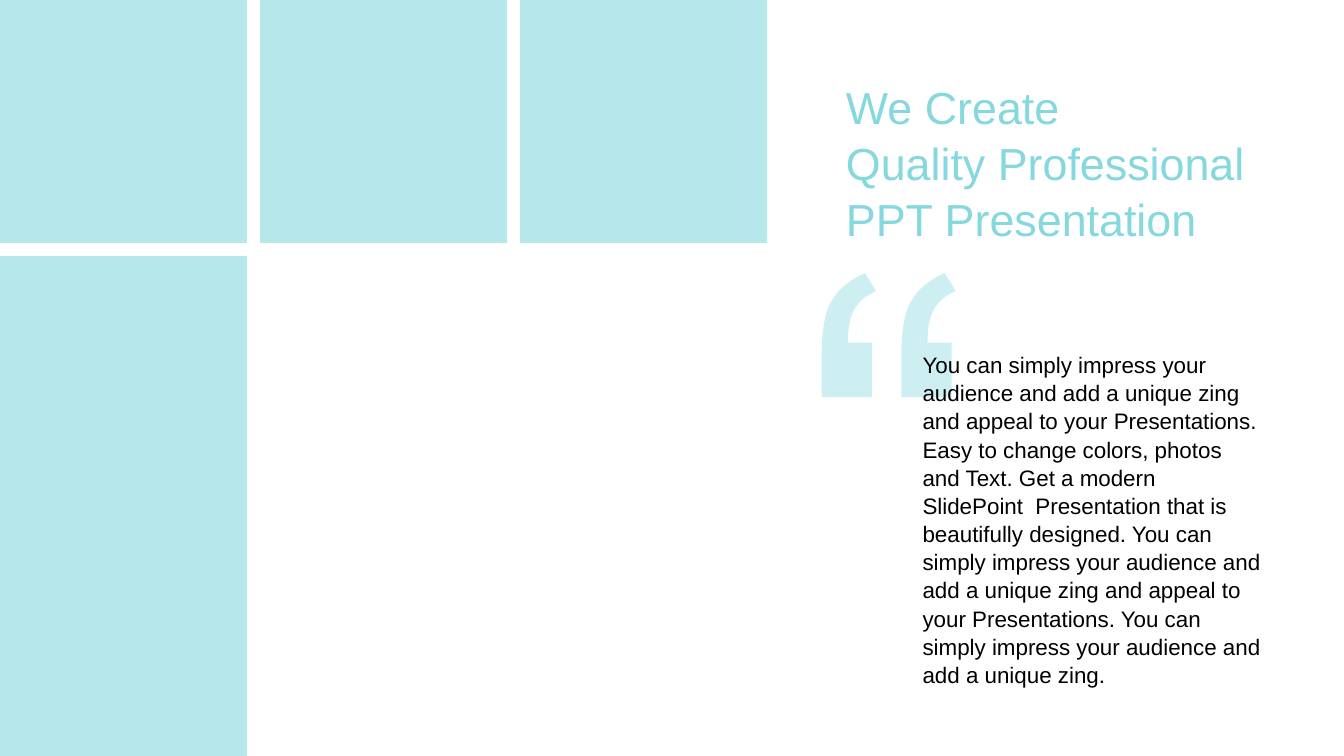
from dataclasses import dataclass

from lxml import etree
from pptx import Presentation
from pptx.dml.color import RGBColor
from pptx.enum.shapes import MSO_SHAPE
from pptx.enum.text import MSO_ANCHOR, MSO_AUTO_SIZE, PP_ALIGN
from pptx.oxml.ns import qn
from pptx.util import Inches, Pt

RECTANGLE = MSO_SHAPE.RECTANGLE
TOP, MIDDLE = MSO_ANCHOR.TOP, MSO_ANCHOR.MIDDLE
NO_AUTOFIT = MSO_AUTO_SIZE.NONE
LEFT = PP_ALIGN.LEFT

HEADING = ["We Create", "Quality Professional", "PPT Presentation"]
QUOTATION = [
    "You can simply impress your audience and add a unique zing and appeal to "
    "your Presentations. Easy to change colors, photos and Text. Get a modern "
    "SlidePoint  Presentation that is beautifully designed. You can simply "
    "impress your audience and add a unique zing and appeal to your "
    "Presentations. You can simply impress your audience and add a unique zing."
]
HEADING_BOX = (8.35, 0.79, 4.1, 1.62)
QUOTATION_BOX = (9.05, 3.42, 3.56, 3.33)

SLIDE_W, SLIDE_H = 13.33, 7.5
TILE_W, TILE_H, TILE_GAP = 2.45, 2.41, 0.13
TILE_COLUMNS = 3

QUOTE_MARK_LEFTS = (8.15, 8.94)
QUOTE_MARK_TOP = 2.71
QUOTE_MARK_START = (0.43, 0)
QUOTE_MARK_SEGMENTS = [
    [(0.54, 0.18)],
    [(0.44, 0.22), (0.37, 0.28), (0.33, 0.35)],
    [(0.28, 0.43), (0.26, 0.54), (0.26, 0.69)],
    [(0.5, 0.69)],
    [(0.5, 1.23)],
    [(0, 1.23)],
    [(0, 0.81)],
    [(0, 0.58), (0.03, 0.41), (0.08, 0.31)],
    [(0.15, 0.17), (0.27, 0.07), QUOTE_MARK_START],
]
CURVE_STEPS = 12


@dataclass(frozen=True)
class Theme:
    font: str = "Arial"
    accent: RGBColor = RGBColor(0x85, 0xD8, 0xDE)
    ink: RGBColor = RGBColor(0, 0, 0)
    heading_size: int = 32
    quotation_size: int = 16
    line_spacing: float = 1.05
    tile_opacity: int = 60
    quote_mark_opacity: int = 40


THEME = Theme()


def tint(shape, opacity):
    shape.shadow.inherit = False
    shape.line.fill.background()
    shape.fill.solid()
    shape.fill.fore_color.rgb = THEME.accent
    color = shape.element.spPr.find(qn("a:solidFill"))[0]
    etree.SubElement(color, qn("a:alpha")).set("val", str(opacity * 1000))


def write(placeholder, box, lines, size, color, anchor, margins):
    placeholder.left, placeholder.top, placeholder.width, placeholder.height = map(Inches, box)
    frame = placeholder.text_frame
    frame.word_wrap = True
    frame.auto_size = NO_AUTOFIT
    frame.vertical_anchor = anchor
    frame.margin_left = frame.margin_right = Inches(margins[0])
    frame.margin_top = frame.margin_bottom = Inches(margins[1])
    for index, line in enumerate(lines):
        paragraph = frame.add_paragraph() if index else frame.paragraphs[0]
        paragraph.alignment = LEFT
        paragraph.line_spacing = THEME.line_spacing
        paragraph.space_before = Pt(0)
        properties = paragraph._p.get_or_add_pPr()
        properties.set("marL", "0")
        properties.set("indent", "0")
        etree.SubElement(properties, qn("a:buNone"))
        run = paragraph.add_run()
        run.text = line
        run.font.name = THEME.font
        run.font.size = Pt(size)
        run.font.color.rgb = color


def bezier(start, first, second, end, t):
    return tuple(
        (1 - t) ** 3 * a + 3 * (1 - t) ** 2 * t * b + 3 * (1 - t) * t**2 * c + t**3 * d
        for a, b, c, d in zip(start, first, second, end)
    )


def quote_mark_outline():
    outline = [QUOTE_MARK_START]
    for segment in QUOTE_MARK_SEGMENTS:
        start = outline[-1]
        if len(segment) == 1:
            outline += segment
        else:
            outline += [bezier(start, *segment, step / CURVE_STEPS) for step in range(1, CURVE_STEPS + 1)]
    return outline


def add_quote_marks(slide):
    builder = None
    for left in QUOTE_MARK_LEFTS:
        points = [(Inches(left + x), Inches(QUOTE_MARK_TOP + y)) for x, y in quote_mark_outline()]
        if builder is None:
            builder = slide.shapes.build_freeform(*points[0], scale=1.0)
        else:
            builder.move_to(*points[0])
        builder.add_line_segments(points[1:], close=True)
    quote_marks = builder.convert_to_shape()
    tint(quote_marks, THEME.quote_mark_opacity)
    return quote_marks


def add_tiles(slide):
    tall_top = TILE_H + TILE_GAP
    tiles = [(column * (TILE_W + TILE_GAP), 0, TILE_W, TILE_H) for column in range(TILE_COLUMNS)]
    tiles.append((0, tall_top, TILE_W, SLIDE_H - tall_top))
    for box in tiles:
        tint(slide.shapes.add_shape(RECTANGLE, *map(Inches, box)), THEME.tile_opacity)


def main():
    deck = Presentation()
    deck.slide_width, deck.slide_height = Inches(SLIDE_W), Inches(SLIDE_H)
    slide = deck.slides.add_slide(deck.slide_layouts[1])
    heading, quotation = slide.placeholders
    write(heading, HEADING_BOX, HEADING, THEME.heading_size, THEME.accent, MIDDLE, (0.04, 0))
    write(quotation, QUOTATION_BOX, QUOTATION, THEME.quotation_size, THEME.ink, TOP, (0.1, 0.05))
    quote_marks = add_quote_marks(slide)
    heading.element.addprevious(quote_marks.element)
    add_tiles(slide)
    deck.save("out.pptx")


if __name__ == "__main__":
    main()
